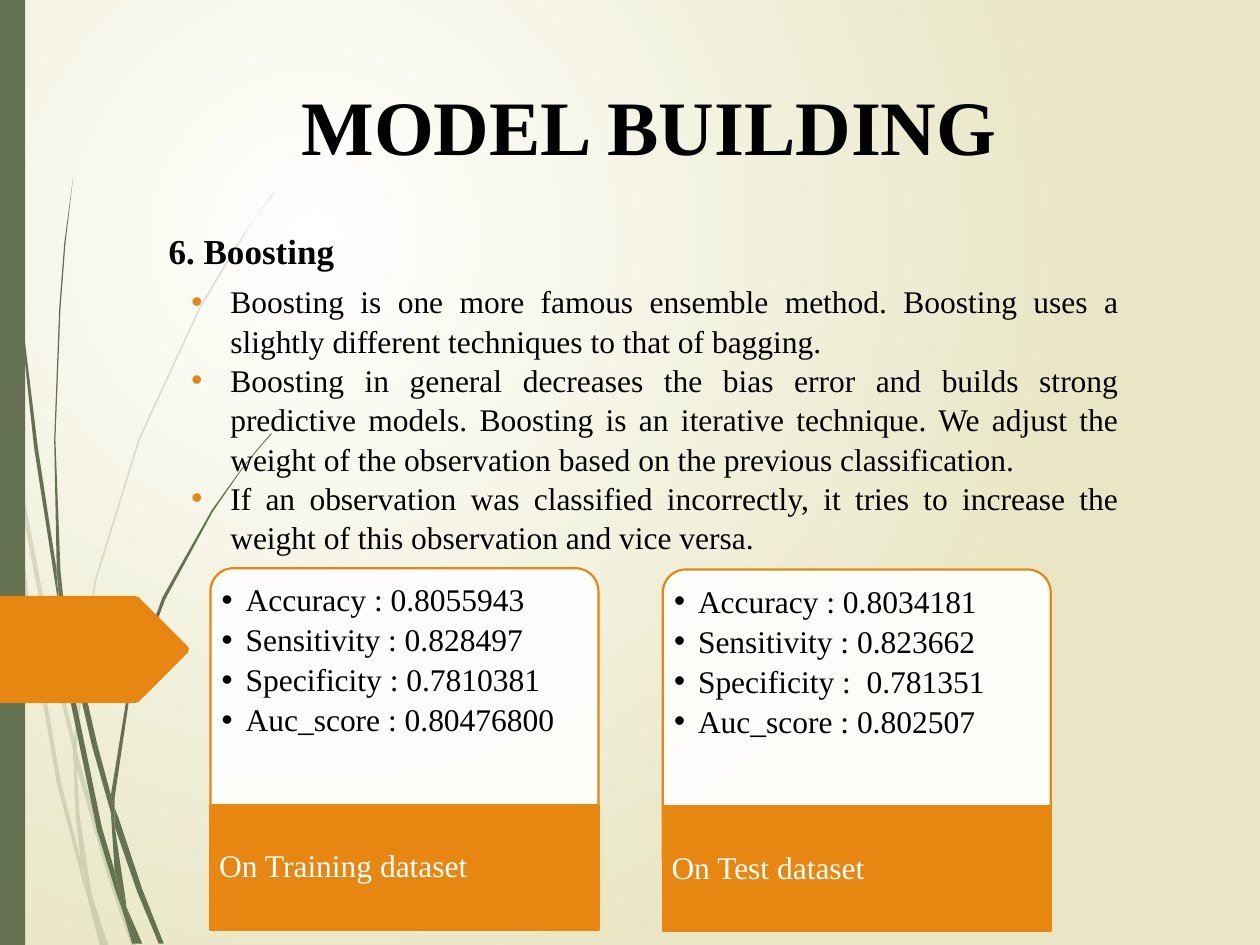
import pptx
import pptx.util
import pptx.dml.color
import pptx.enum.shapes
import pptx.enum.text
import pptx.oxml.ns
from lxml import etree

RGB = pptx.dml.color.RGBColor
SHAPE = pptx.enum.shapes.MSO_SHAPE
ALIGN = pptx.enum.text.PP_ALIGN
ANCHOR = pptx.enum.text.MSO_ANCHOR
qn = pptx.oxml.ns.qn

PX = 9144  # EMU per px, 100 px to the inch
FONT = "Times New Roman"
GREEN = RGB(0x64, 0x72, 0x52)
ORANGE = RGB(0xE7, 0x87, 0x12)
CREAM = RGB(0xE8, 0xE6, 0xC4)
WHITE = RGB(255, 255, 255)
BLACK = RGB(0, 0, 0)

# Content
TITLE = "MODEL BUILDING"
HEADING = "6. Boosting"
POINTS = [
    "Boosting is one more famous ensemble method. Boosting uses a slightly "
    "different techniques to that of bagging.",
    "Boosting in general decreases the bias error and builds strong predictive "
    "models. Boosting is an iterative technique. We adjust the weight of the "
    "observation based on the previous classification.",
    "If an observation was classified incorrectly, it tries to increase the "
    "weight of this observation and vice versa.",
]
CARDS = [
    (167, 451, "On Training dataset",
     ["Accuracy : 0.8055943", "Sensitivity : 0.828497",
      "Specificity : 0.7810381", "Auc_score : 0.80476800"]),
    (526, 452, "On Test dataset",
     ["Accuracy : 0.8034181", "Sensitivity : 0.823662",
      "Specificity :  0.781351", "Auc_score : 0.802507"]),
]

# Grass outlines, in px
PALE_GRASS = [
    [(8, 350), (6, 322), (0, 282), (0, 299), (7, 344)],
    [(40, 522), (59, 599), (59, 586), (43, 520), (10, 345), (12, 376)],
    [(64, 607), (61, 596), (61, 610), (85, 694), (104, 750), (108, 750), (88, 692)],
    [(83, 750), (86, 750), (73, 711)],
    [(64, 683), (48, 619), (22, 469), (12, 376), (8, 350), (19, 470), (45, 621),
     (64, 693), (70, 714), (69, 707)],
    [(58, 599), (60, 646), (64, 683), (67, 692), (73, 711), (72, 706), (63, 646),
     (61, 610), (61, 608)],
    [(61, 584), (76, 462), (111, 349), (159, 245), (187, 198), (201, 175), (217, 154),
     (217, 153), (201, 175), (186, 197), (158, 244), (110, 348), (75, 461), (59, 584),
     (59, 586), (61, 596)],
    [(70, 714), (79, 750), (82, 750)],
    [(61, 608), (61, 610), (61, 596), (59, 586), (58, 599)],
    [(67, 692), (65, 683), (69, 707), (70, 714), (82, 750), (83, 750), (73, 711)],
]
DARK_GRASS = [
    [(5, 110), (14, 233), (27, 355), (46, 477), (47, 481), (45, 457), (45, 453),
     (30, 355), (15, 232), (6, 109), (4, 48), (3, 0), (2, 0), (3, 48)],
    [(73, 592), (88, 645), (88, 633), (88, 631), (77, 590), (50, 472), (53, 505)],
    [(94, 649), (91, 641), (91, 656), (109, 708), (126, 749), (130, 749), (113, 706)],
    [(91, 691), (81, 657), (60, 556), (53, 505), (47, 477), (56, 557), (77, 659),
     (92, 708), (97, 722), (96, 717)],
    [(50, 472), (48, 453), (44, 349), (48, 245), (52, 193), (58, 141), (51, 193),
     (47, 245), (43, 349), (45, 449), (49, 472)],
    [(110, 749), (113, 749), (100, 719)],
    [(47, 477), (53, 505), (50, 472), (49, 472), (45, 449), (45, 453)],
    [(91, 633), (103, 552), (131, 476), (169, 406), (191, 374), (203, 359), (216, 344),
     (215, 344), (203, 358), (191, 373), (168, 405), (129, 474), (101, 551), (88, 631),
     (91, 641)],
    [(97, 722), (105, 749), (108, 749)],
    [(88, 645), (91, 691), (96, 706), (100, 719), (100, 716), (91, 656), (90, 651)],
    [(88, 645), (90, 651), (91, 656), (91, 641), (88, 631), (88, 633)],
    [(96, 706), (91, 691), (96, 717), (97, 722), (108, 749), (110, 749), (100, 719)],
]
TAG = [(107, 558), (110, 557), (149, 518), (150, 515), (149, 513), (110, 474),
       (107, 473), (-3, 473), (-3, 558)]


def box(*px):
    return [v * PX for v in px]


def paint(sp, color, opacity=100, line=None):
    sp.shadow.inherit = False
    sp.fill.solid()
    sp.fill.fore_color.rgb = color
    if opacity < 100:
        clr = sp.fill._xPr.find(qn("a:solidFill"))[0]
        etree.SubElement(clr, qn("a:alpha"), val=str(opacity * 1000))
    if line is None:
        sp.line.fill.background()
    else:
        sp.line.color.rgb = line
        sp.line.width = pptx.util.Pt(1.25)


def outline(points, color, opacity=100):
    fb = s.shapes.build_freeform(*points[0], scale=PX)
    fb.add_line_segments(points[1:], close=True)
    paint(fb.convert_to_shape(), color, opacity)


def write(sp, lines, size=18, color=BLACK, bold=False, insets=(10, 5, 10, 5),
          anchor=ANCHOR.TOP, indent=(0, 0), bullet=None, **para):
    tf = sp.text_frame
    tf.word_wrap = True
    tf.vertical_anchor = anchor
    for side, px in zip(("left", "top", "right", "bottom"), insets):
        setattr(tf, "margin_" + side, px * PX)
    for i, line in enumerate(lines):
        p = tf.paragraphs[0] if i == 0 else tf.add_paragraph()
        for name, value in para.items():
            setattr(p, name, value)
        r = p.add_run()
        r.text = line
        for name, value in dict(name=FONT, size=pptx.util.Pt(size), bold=bold).items():
            setattr(r.font, name, value)
        r.font.color.rgb = color
        pPr = p._p.get_or_add_pPr()
        pPr.set("marL", str(indent[0] * PX))
        pPr.set("indent", str(indent[1] * PX))
        if bullet is not None:
            clr = etree.SubElement(pPr, qn("a:buClr"))
            etree.SubElement(clr, qn("a:srgbClr"), val=str(bullet))
            etree.SubElement(pPr, qn("a:buFont"), typeface="Arial")
            etree.SubElement(pPr, qn("a:buChar"), char="•")


prs = pptx.Presentation()
prs.slide_width, prs.slide_height = box(1000, 750)
s = prs.slides.add_slide(prs.slide_layouts[5])

# Radial background
fill = s.background.fill
fill.gradient()
for stop, color, position in zip(fill.gradient_stops, (WHITE, CREAM), (0, 1)):
    stop.color.rgb = color
    stop.position = position
lin = next(s.element.iter(qn("a:lin")))
radial = etree.Element(qn("a:path"), {"path": "circle"})
etree.SubElement(radial, qn("a:fillToRect"), l="50000", t="50000", r="100000", b="100000")
lin.getparent().replace(lin, radial)

# Grass, side bar and tag
for points in PALE_GRASS:
    outline(points, GREEN, 20)
for points in DARK_GRASS:
    outline(points, GREEN)
paint(s.shapes.add_shape(SHAPE.RECTANGLE, *box(0, 0, 20, 750)), GREEN)
outline(TAG, ORANGE)

# Title and body
title = s.shapes.title
title.left, title.top, title.width, title.height = box(103, 35, 825, 106)
write(title, [TITLE], 44, bold=True, anchor=ANCHOR.BOTTOM, alignment=ALIGN.CENTER)
write(s.shapes.add_textbox(*box(74, 184, 594, 37)), [HEADING], 20, bold=True,
      indent=(50, 0), line_spacing=0.8, space_before=pptx.util.Pt(3))
write(s.shapes.add_textbox(*box(142, 218, 756, 222)), POINTS, indent=(31, -31),
      bullet=ORANGE, alignment=ALIGN.JUSTIFY, line_spacing=1.04)

# Score cards
for x, y, label, scores in CARDS:
    sp = s.shapes.add_shape(SHAPE.ROUND_2_SAME_RECTANGLE, *box(x, y, 308, 230))
    sp.adjustments[0], sp.adjustments[1] = 0.08, 0
    paint(sp, WHITE, 90, ORANGE)
    write(s.shapes.add_textbox(*box(x + 6, y + 6, 297, 224)), scores,
          insets=(3, 7, 3, 3), indent=(19, -19), bullet=BLACK, alignment=ALIGN.JUSTIFY,
          line_spacing=0.9, space_after=pptx.util.Pt(3.4))
    sp = s.shapes.add_shape(SHAPE.RECTANGLE, *box(x, y + 188, 308, 99))
    paint(sp, ORANGE, line=ORANGE)
    write(s.shapes.add_textbox(*box(x, y + 188, 217, 99)), [label], color=WHITE,
          insets=(7, 0, 3, 0), anchor=ANCHOR.MIDDLE, line_spacing=0.9)

prs.save("out.pptx")
